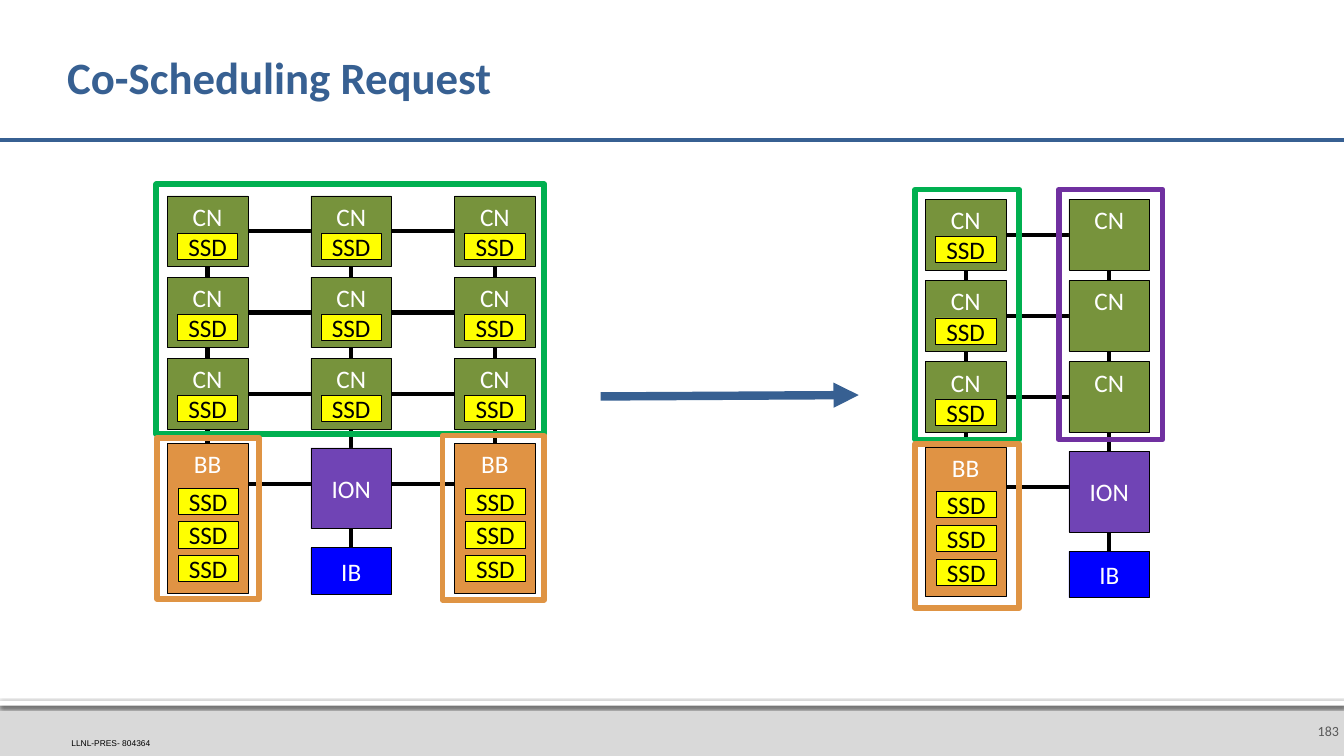
from lxml.etree import SubElement
from pptx import Presentation
from pptx.dml.color import RGBColor
from pptx.enum.shapes import MSO_CONNECTOR as Link, MSO_SHAPE as Form
from pptx.enum.text import MSO_ANCHOR as Anchor, MSO_AUTO_SIZE as Fit, PP_ALIGN as Align
from pptx.oxml.ns import qn
from pptx.util import Pt

BLACK = RGBColor(0x00, 0x00, 0x00)
WHITE = RGBColor(0xFF, 0xFF, 0xFF)
SLATE = RGBColor(0x59, 0x59, 0x59)
GRAY = RGBColor(0xD9, 0xD9, 0xD9)
NAVY = RGBColor(0x37, 0x60, 0x92)
OLIVE = RGBColor(0x77, 0x93, 0x3C)
YELLOW = RGBColor(0xFF, 0xFF, 0x00)
ORANGE = RGBColor(0xE0, 0x93, 0x44)
AMBER = RGBColor(0xDF, 0x94, 0x44)
VIOLET = RGBColor(0x70, 0x44, 0xB5)
PURPLE = RGBColor(0x70, 0x30, 0xA0)
GREEN = RGBColor(0x00, 0xB0, 0x50)
BLUE = RGBColor(0x00, 0x00, 0xFF)

# Rack grid, in points
COL, ROW = 102.6, 58
NODE_W, NODE_H = 57.6, 50.4


class Deck:
    font = "Calibri"
    size = 18

    def __init__(self, slide):
        self.slide = slide
        self.shapes = slide.shapes

    def place(self, shape, x, y, w, h):
        shape.left, shape.top, shape.width, shape.height = Pt(x), Pt(y), Pt(w), Pt(h)

    def letter(self, shape, text, color, size, align, anchor, pad, font=None, bold=False):
        frame = shape.text_frame
        frame.text = text
        frame.auto_size = Fit.NONE
        frame.vertical_anchor = anchor
        frame.margin_left, frame.margin_top, frame.margin_right, frame.margin_bottom = map(Pt, pad)
        para = frame.paragraphs[0]
        para.alignment = align
        face = para.runs[0].font
        face.name, face.size, face.bold = font or self.font, Pt(size), bold
        face.color.rgb = color
        return para

    def title(self, text, x, y, w, h):
        shape = self.shapes.title
        self.place(shape, x, y, w, h)
        para = self.letter(shape, text, NAVY, 32, Align.LEFT, Anchor.MIDDLE,
                           (0, 3.6, 3.6, 3.6), bold=True)
        para.line_spacing = 0.9

    def label(self, text, x, y, w, h, **style):
        shape = self.shapes.add_textbox(Pt(x), Pt(y), Pt(w), Pt(h))
        shape.text_frame.word_wrap = True
        self.letter(shape, text, **style)

    def rect(self, x, y, w, h, fill=None, edge=None, width=0.5):
        shape = self.shapes.add_shape(Form.RECTANGLE, Pt(x), Pt(y), Pt(w), Pt(h))
        shape.shadow.inherit = False
        if fill is None:
            shape.fill.background()
        else:
            shape.fill.solid()
            shape.fill.fore_color.rgb = fill
        if edge is None:
            shape.line.fill.background()
        else:
            shape.line.color.rgb = edge
            shape.line.width = Pt(width)
        return shape

    def box(self, text, x, y, w, h, fill, color=WHITE, anchor=Anchor.MIDDLE):
        shape = self.rect(x, y, w, h, fill, BLACK)
        shape.text_frame.word_wrap = False
        self.letter(shape, text, color, self.size, Align.CENTER, anchor, (0, 3.6, 0, 3.6))
        return shape

    def chip(self, x, y):
        self.box("SSD", x, y, 43.2, 18.7, YELLOW, BLACK)

    def line(self, x1, y1, x2, y2, color=BLACK, width=3, head=None):
        link = self.shapes.add_connector(Link.STRAIGHT, Pt(x1), Pt(y1), Pt(x2), Pt(y2))
        link.line.color.rgb = color
        link.line.width = Pt(width)
        props = link.element.spPr
        if head:
            SubElement(props.ln, qn("a:tailEnd"), type=head)
        SubElement(props, qn("a:effectLst"))
        return link

    def back(self, link):
        self.shapes.element.insert(2, link.element)

    def wire(self, start, out, end, into, head=None):
        link = self.line(0, 0, 0, 0, head=head)
        link.begin_connect(start, out)
        link.end_connect(end, into)
        self.back(link)

    def shade(self, shape):
        effect = shape.element.spPr.find(qn("a:effectLst"))
        outer = SubElement(effect, qn("a:outerShdw"), blurRad=str(Pt(2.5)),
                           dist=str(Pt(0.8)), dir="5400000", rotWithShape="0")
        tint = SubElement(outer, qn("a:srgbClr"), val=str(BLACK))
        SubElement(tint, qn("a:alpha"), val="60000")

    def store(self, x, y):
        shape = self.box("BB", x, y, NODE_W, 106.6, ORANGE, anchor=Anchor.TOP)
        for i in range(3):
            self.chip(x + 7.6, y + 31.6 + 24.1 * i)
        return shape

    def rack(self, x, y, cols):
        """Draw columns given as (base kind, nodes have an SSD)."""
        nodes = []
        for c, (base, local) in enumerate(cols):
            left = x + COL * c
            stack = []
            for r in range(3):
                top = y + ROW * r
                stack.append(self.box("CN", left, top, NODE_W, NODE_H, OLIVE, anchor=Anchor.TOP))
                if local:
                    self.chip(left + 7.2, top + 26.6)
            nodes.append(stack)
            self.wire(stack[0], 2, stack[2], 0)
            if base == "BB":
                self.wire(stack[2], 2, self.store(left, y + 177), 0)
            else:
                port = self.box("IB", left, y + 251.3, NODE_W, 33.1, BLUE)
                self.wire(stack[2], 2, port, 2, "stealth")
                self.box("ION", left, y + 180, NODE_W, 57.6, VIOLET)
        for first, last in zip(nodes[0], nodes[-1]):
            self.wire(first, 3, last, 1)
        level = y + 205.5
        self.back(self.line(x + NODE_W, level, x + COL * (len(cols) - 1), level))


def main():
    prs = Presentation()
    prs.slide_width, prs.slide_height = Pt(960), Pt(540)
    deck = Deck(prs.slides.add_slide(prs.slide_layouts[5]))

    # Title and rule
    deck.title("Co-Scheduling Request", 48, 17.3, 780, 79.2)
    deck.line(0, 100, 960, 100, NAVY)

    # Footer
    deck.rect(0, 500.4, 960, 39.6, GRAY)
    deck.shade(deck.rect(0, 500.4, 960, 3.6, WHITE))
    deck.label("183", 926.6, 504, 33.4, 36, color=SLATE, size=10, align=Align.RIGHT,
               anchor=Anchor.MIDDLE, pad=(7.2, 3.6, 3.6, 3.6))
    deck.label("LLNL-PRES- 804364", 51, 527.5, 91.4, 7.2, color=BLACK, size=6,
               align=Align.LEFT, anchor=Anchor.BOTTOM, pad=(0, 0, 0, 0), font="Arial")

    # Racks before and after
    deck.rack(119.5, 140, [("BB", True), ("ION", True), ("BB", True)])
    deck.rack(661, 142.5, [("BB", True), ("ION", False)])
    deck.line(429, 283.2, 613.4, 282.2, NAVY, 6, "triangle")

    # Allocation frames
    for edge, *area in (
        (GREEN, 653.8, 135.4, 74.2, 178.6),
        (AMBER, 653.8, 317, 74.2, 117.4),
        (PURPLE, 756.3, 135.4, 74.2, 178.6),
        (GREEN, 111.6, 131.6, 277.2, 178.6),
        (AMBER, 112.3, 312.7, 72.7, 115.2),
        (AMBER, 316, 311.2, 72.7, 117.4),
    ):
        deck.rect(*area, edge=edge, width=4)

    prs.save("out.pptx")


if __name__ == "__main__":
    main()
